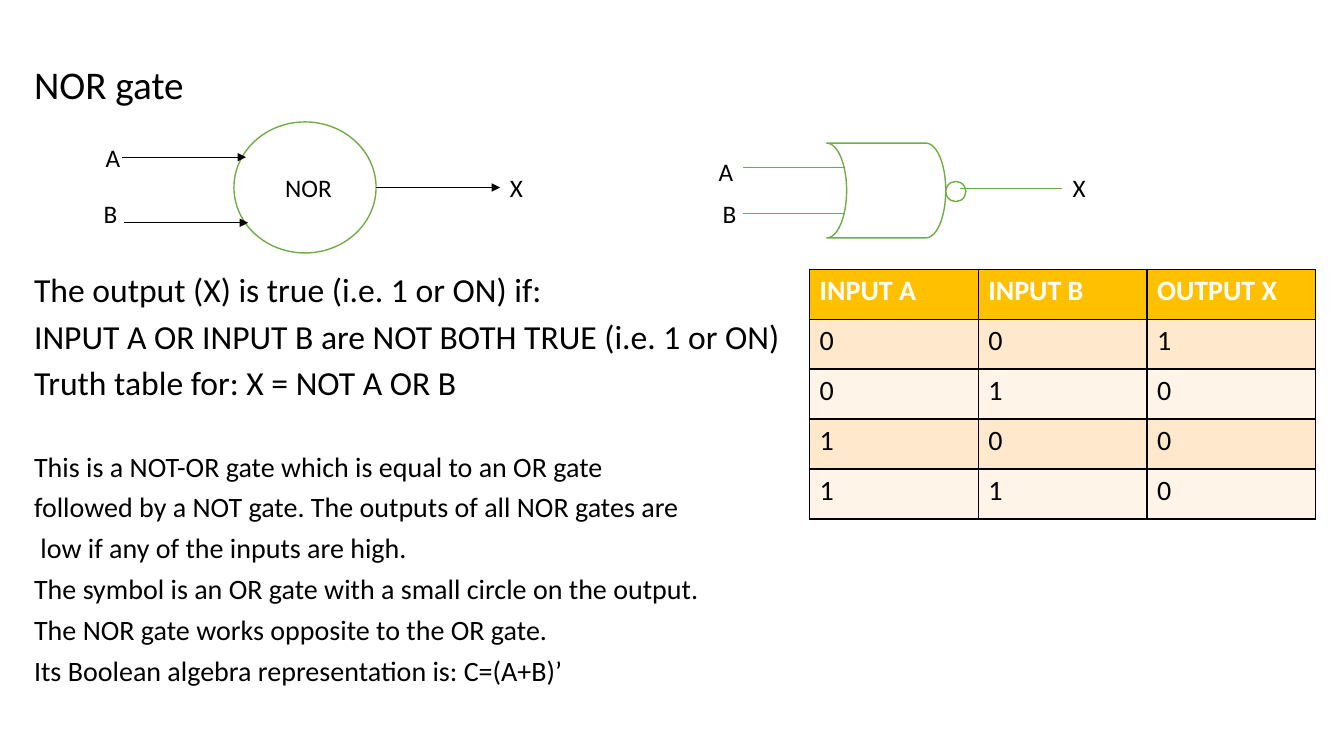
from dataclasses import dataclass

from lxml.etree import SubElement
from pptx import Presentation
from pptx.dml.color import RGBColor
from pptx.enum.shapes import MSO_CONNECTOR, MSO_SHAPE
from pptx.oxml.ns import qn
from pptx.util import Inches, Pt


@dataclass(frozen=True)
class Theme:
    font: str = "Calibri"
    black: RGBColor = RGBColor.from_string("000000")
    white: RGBColor = RGBColor.from_string("FFFFFF")
    green: RGBColor = RGBColor.from_string("70AD47")
    header: RGBColor = RGBColor.from_string("FFC000")
    bands: tuple = (RGBColor.from_string("FFE8CC"), RGBColor.from_string("FFF4E7"))
    title_size: int = 28
    lead_size: int = 24
    body_size: int = 20
    label_size: int = 18


theme = Theme()


def format_para(para, size, color=theme.black, bold=False):
    for span in para.runs:
        span.font.name = theme.font
        span.font.size = Pt(size)
        span.font.color.rgb = color
        span.font.bold = bold


def add_wire(page, start_x, end_x, y, color, arrow):
    wire = page.shapes.add_connector(
        MSO_CONNECTOR.STRAIGHT, Inches(start_x), Inches(y), Inches(end_x), Inches(y)
    )
    wire.line.color.rgb = color
    wire.line.width = Pt(0.5)
    if arrow:
        SubElement(wire.line._get_or_add_ln(), qn("a:tailEnd"), type="triangle")
    SubElement(wire._element.spPr, qn("a:effectLst"))


deck = Presentation()
deck.slide_width = Inches(13.33)
deck.slide_height = Inches(7.5)
page = deck.slides.add_slide(deck.slide_layouts[6])

text_blocks = [
    (0.64, 0.55, theme.title_size, ["NOR gate"]),
    (2.7, 1.4, theme.lead_size, [
        "The output (X) is true (i.e. 1 or ON) if:",
        "INPUT A OR INPUT B are NOT BOTH TRUE (i.e. 1 or ON)",
        "Truth table for: X = NOT A OR B",
    ]),
    (4.47, 2.5, theme.body_size, [
        "This is a NOT-OR gate which is equal to an OR gate",
        "followed by a NOT gate. The outputs of all NOR gates are",
        " low if any of the inputs are high.",
        "The symbol is an OR gate with a small circle on the output.",
        "The NOR gate works opposite to the OR gate.",
        "Its Boolean algebra representation is: C=(A+B)’",
    ]),
]
for top, height, size, lines in text_blocks:
    box = page.shapes.add_textbox(Inches(0.24), Inches(top), Inches(7.7), Inches(height))
    frame = box.text_frame
    frame.word_wrap = True
    frame.text = "\n".join(lines)
    for index, para in enumerate(frame.paragraphs):
        para.line_spacing = 0.8
        para.space_before = Pt(10 if index else 0)
        format_para(para, size)

outlines = [
    (MSO_SHAPE.OVAL, 2.32, 1.21, 1.41, 1.3, 0),
    (MSO_SHAPE.FLOWCHART_STORED_DATA, 8.2, 1.42, 1.18, 0.94, 180),
    (MSO_SHAPE.OVAL, 9.38, 1.8, 0.2, 0.2, 0),
]
for kind, left, top, width, height, rotation in outlines:
    outline = page.shapes.add_shape(
        kind, Inches(left), Inches(top), Inches(width), Inches(height)
    )
    outline.rotation = rotation
    outline.shadow.inherit = False
    outline.fill.solid()
    outline.fill.fore_color.rgb = theme.white
    outline.line.color.rgb = theme.green
    outline.line.width = Pt(1)

for start_x, y in [(1.21, 1.56), (1.23, 2.21), (3.73, 1.86)]:
    add_wire(page, start_x, start_x + 1.23, y, theme.black, arrow=True)
for start_x, y in [(7.37, 1.66), (7.37, 2.12), (9.52, 1.87)]:
    add_wire(page, start_x, start_x + 1.01, y, theme.green, arrow=False)

labels = [
    ("A", 0.95, 1.36, 0.35),
    ("B", 0.93, 1.92, 0.34),
    ("X", 4.96, 1.66, 0.33),
    ("NOR", 2.73, 1.66, 0.67),
    ("A", 7.03, 1.5, 0.35),
    ("B", 7.07, 1.92, 0.34),
    ("X", 10.54, 1.66, 0.33),
]
for text, left, top, width in labels:
    label = page.shapes.add_textbox(Inches(left), Inches(top), Inches(width), Inches(0.4))
    label.text_frame.word_wrap = False
    label.text_frame.text = text
    format_para(label.text_frame.paragraphs[0], theme.label_size)

rows = [["INPUT A", "INPUT B", "OUTPUT X"]]
rows += [[str(a), str(b), str(int(not (a or b)))] for a in (0, 1) for b in (0, 1)]
table = page.shapes.add_table(
    len(rows), 3, Inches(8.03), Inches(2.67), Inches(5.02), Inches(2.48)
).table
for row_index, values in enumerate(rows):
    is_header = row_index == 0
    for column_index, value in enumerate(values):
        cell = table.cell(row_index, column_index)
        cell.text_frame.text = value
        format_para(
            cell.text_frame.paragraphs[0],
            theme.body_size,
            theme.white if is_header else theme.black,
            is_header,
        )
        properties = cell._tc.get_or_add_tcPr()
        for side in ("lnL", "lnR", "lnT", "lnB"):
            border = SubElement(properties, qn(f"a:{side}"), w=str(Pt(1)))
            fill = SubElement(border, qn("a:solidFill"))
            SubElement(fill, qn("a:srgbClr"), val=str(theme.black))
        cell.fill.solid()
        cell.fill.fore_color.rgb = (
            theme.header if is_header else theme.bands[(row_index - 1) % 2]
        )

deck.save("out.pptx")
